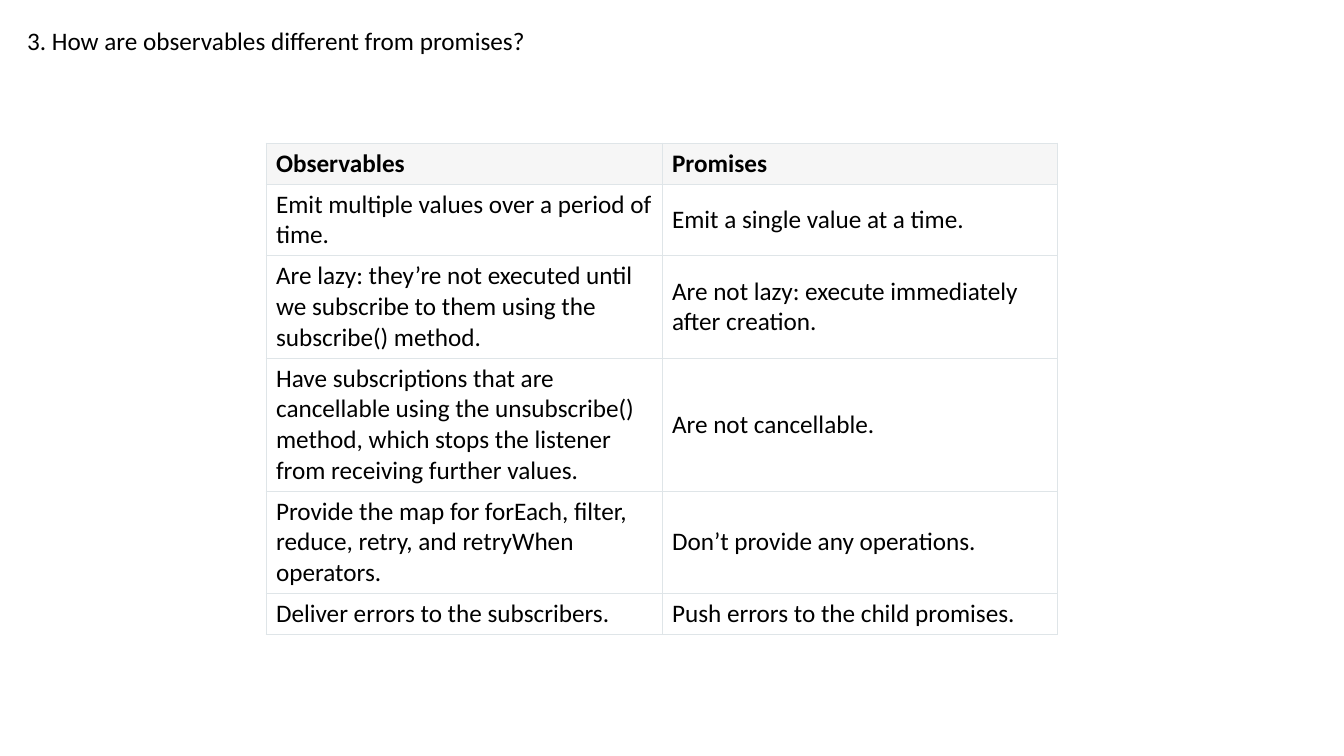
import lxml.etree
import pptx
import pptx.dml.color
import pptx.enum.text
import pptx.oxml.ns
import pptx.util

PIXEL = 914400 / 100.8
FONT = "Calibri"
BLACK = pptx.dml.color.RGBColor(0x00, 0x00, 0x00)
WHITE = pptx.dml.color.RGBColor(0xFF, 0xFF, 0xFF)
HEADER_GRAY = pptx.dml.color.RGBColor(0xF6, 0xF6, 0xF6)
BORDER_GRAY = pptx.dml.color.RGBColor(0xDF, 0xE5, 0xE8)

TITLE = "3. How are observables different from promises?"
COMPARISON = [
    ("Observables", "Promises"),
    ("Emit multiple values over a period of time.",
     "Emit a single value at a time."),
    ("Are lazy: they’re not executed until we subscribe to them using the subscribe() method.",
     "Are not lazy: execute immediately after creation."),
    ("Have subscriptions that are cancellable using the unsubscribe() method, "
     "which stops the listener from receiving further values.",
     "Are not cancellable."),
    ("Provide the map for forEach, filter, reduce, retry, and retryWhen operators.",
     "Don’t provide any operations."),
    ("Deliver errors to the subscribers.",
     "Push errors to the child promises."),
]
LINES_PER_ROW = [1, 2, 3, 4, 3, 1]
LINE_HEIGHT = 30
ROW_PADDING = 11
COLUMN_WIDTH = 396


def pixels(count):
    return pptx.util.Emu(round(count * PIXEL))


def write_text(text_frame, text, bold=False):
    text_frame.text = text
    paragraph = text_frame.paragraphs[0]
    paragraph.alignment = pptx.enum.text.PP_ALIGN.LEFT
    paragraph.font.name = FONT
    paragraph.font.size = pptx.util.Pt(18)
    paragraph.font.bold = bold
    paragraph.font.color.rgb = BLACK


def format_title(title):
    title.left, title.top = pixels(17), pixels(20)
    title.width, title.height = pixels(524), pixels(72)
    text_frame = title.text_frame
    write_text(text_frame, TITLE)
    text_frame.word_wrap = True
    text_frame.auto_size = pptx.enum.text.MSO_AUTO_SIZE.NONE
    text_frame.vertical_anchor = pptx.enum.text.MSO_ANCHOR.TOP


def add_borders(cell):
    properties = cell._tc.get_or_add_tcPr()
    qualified = pptx.oxml.ns.qn
    for side in ("a:lnL", "a:lnR", "a:lnT", "a:lnB"):
        line = lxml.etree.SubElement(properties, qualified(side), w=str(pptx.util.Pt(0.75)))
        fill = lxml.etree.SubElement(line, qualified("a:solidFill"))
        lxml.etree.SubElement(fill, qualified("a:srgbClr"), val=str(BORDER_GRAY))


def format_cell(cell, text, is_header):
    write_text(cell.text_frame, text, bold=is_header)
    cell.vertical_anchor = pptx.enum.text.MSO_ANCHOR.MIDDLE
    add_borders(cell)
    cell.fill.solid()
    cell.fill.fore_color.rgb = HEADER_GRAY if is_header else WHITE


def add_comparison_table(slide):
    heights = [LINE_HEIGHT * lines + ROW_PADDING for lines in LINES_PER_ROW]
    table = slide.shapes.add_table(
        len(COMPARISON), 2, pixels(266), pixels(143),
        pixels(2 * COLUMN_WIDTH), pixels(sum(heights))).table
    for column in table.columns:
        column.width = pixels(COLUMN_WIDTH)
    for row_index, (row, height, texts) in enumerate(zip(table.rows, heights, COMPARISON)):
        row.height = pixels(height)
        for cell, text in zip(row.cells, texts):
            format_cell(cell, text, is_header=row_index == 0)


def main():
    presentation = pptx.Presentation()
    presentation.slide_width = pixels(1344)
    presentation.slide_height = pixels(756)
    slide = presentation.slides.add_slide(presentation.slide_layouts.get_by_name("Title Only"))
    format_title(slide.shapes.title)
    add_comparison_table(slide)
    presentation.save("out.pptx")


main()
